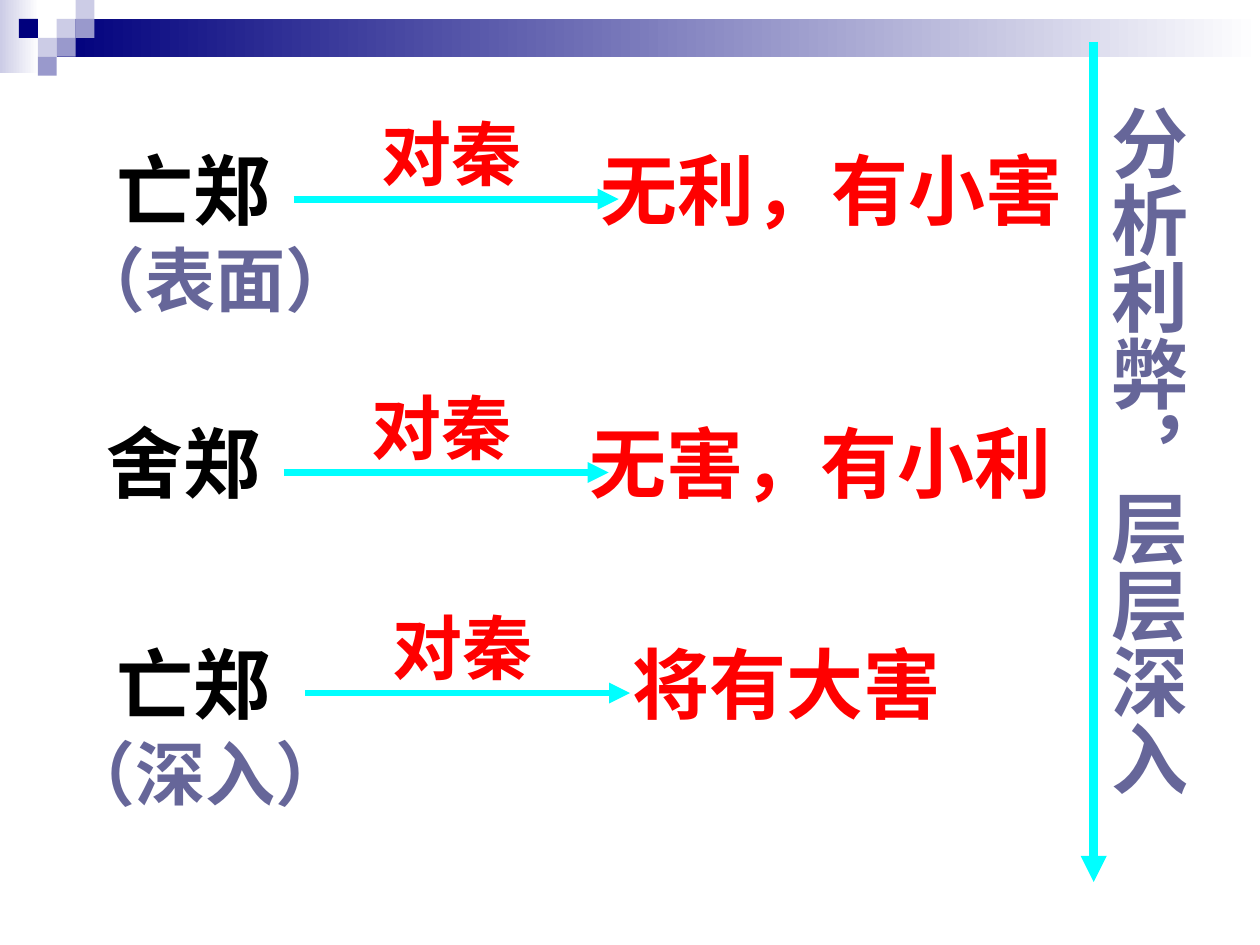
from lxml import etree
from pptx import Presentation
from pptx.dml import color
from pptx.enum import shapes, text
from pptx.oxml import ns
from pptx.util import Inches, Pt

NAVY, LILAC, PERIWINKLE, WHITE = "00007D", "CCCCE6", "9999CC", "FFFFFF"
BLACK, RED, SLATE, CYAN = "000000", "FF0000", "666699", "00FFFF"
SERIF, SANS = "Times New Roman", "Noto Sans CJK SC"


def rgb(value):
    """Turn a hex string into a colour."""
    return color.RGBColor.from_string(value)


def add_tile(slide, left, top, width, height, *colours):
    """Place a borderless rectangle, shaded left to right if given two colours."""
    tile = slide.shapes.add_shape(
        shapes.MSO_SHAPE.RECTANGLE, Inches(left), Inches(top), Inches(width), Inches(height))
    tile.shadow.inherit = False
    tile.line.fill.background()
    if len(colours) == 1:
        tile.fill.solid()
        tile.fill.fore_color.rgb = rgb(colours[0])
        return
    tile.fill.gradient()
    tile.fill.gradient_angle = 0
    for stop, colour in zip(tile.fill.gradient_stops, colours):
        stop.color.rgb = rgb(colour)


def add_words(slide, left, top, width, height, words, size, colour, font=SERIF):
    """Place one bold line of text and return its frame."""
    frame = slide.shapes.add_textbox(
        Inches(left), Inches(top), Inches(width), Inches(height)).text_frame
    frame.word_wrap = True
    line = frame.paragraphs[0]
    line.text = words
    line.font.name = font
    line.font.size = Pt(size)
    line.font.bold = True
    line.font.color.rgb = rgb(colour)
    return frame


def add_arrow(slide, x1, y1, x2, y2, weight):
    """Draw a cyan arrow between two points."""
    arrow = slide.shapes.add_connector(
        shapes.MSO_CONNECTOR.STRAIGHT, Inches(x1), Inches(y1), Inches(x2), Inches(y2))
    arrow.line.color.rgb = rgb(CYAN)
    arrow.line.width = Pt(weight)
    etree.SubElement(arrow.line._get_or_add_ln(), ns.qn("a:tailEnd"), type="triangle")
    etree.SubElement(arrow._element.spPr, ns.qn("a:effectLst"))


def add_banner(slide, left, top, width):
    """Draw the shaded bar and its corner of small squares."""
    side = 0.15
    add_tile(slide, left, top, 0.31, 0.58, LILAC, WHITE)
    add_tile(slide, left + 3 * side, top + side, width - 3 * side, 2 * side, NAVY, WHITE)
    squares = [(3, 1, LILAC), (4, 0, LILAC), (4, 1, PERIWINKLE), (2, 2, LILAC),
               (1, 1, NAVY), (3, 2, PERIWINKLE), (2, 3, PERIWINKLE)]
    for column, row, colour in squares:
        add_tile(slide, left + column * side, top + row * side, side, side, colour)


def add_case(slide, left, top, choice, arrow_left, outcome_left, outcome_width, outcome):
    """Place a choice, the arrow towards Qin and the outcome in one row."""
    add_words(slide, left, top, 2.1, 0.84, choice, 44, BLACK)
    add_words(slide, outcome_left, top, outcome_width, 0.84, outcome, 44, RED)
    add_words(slide, arrow_left + 0.6, top - 0.25, 1.49, 0.77, "对秦", 40, RED)
    add_arrow(slide, arrow_left, top + 0.5, arrow_left + 2.58, top + 0.5, 4)


def add_summary(slide, left, top, height):
    """Place the long downward arrow with the vertical conclusion beside it."""
    add_arrow(slide, left, top, left, top + height, 5)
    frame = add_words(slide, left - 0.09, top + 0.4, 0.93, 6.01, "分析利弊，层层深入", 44, SLATE)
    frame.margin_left = frame.margin_right = Inches(0.05)
    frame.margin_top = frame.margin_bottom = Inches(0.1)
    frame.paragraphs[0].alignment = text.PP_ALIGN.CENTER
    frame._txBody.bodyPr.set("vert", "eaVert")


def main():
    """Build the slide and save it."""
    deck = Presentation()
    deck.slide_width, deck.slide_height = Inches(10), Inches(7.5)
    slide = deck.slides.add_slide(deck.slide_layouts[6])
    add_banner(slide, 0, 0, 10)
    add_case(slide, 0.83, 1.08, "亡郑", 2.33, 4.67, 4.25, "无利，有小害")
    add_case(slide, 0.75, 3.25, "舍郑", 2.25, 4.58, 3.92, "无害，有小利")
    add_case(slide, 0.83, 5, "亡郑", 2.42, 4.92, 2.83, "将有大害")
    add_summary(slide, 8.68, 0.33, 6.67)
    add_words(slide, 0.5, 1.83, 3.33, 0.77, "（表面）", 40, SLATE, SANS)
    add_words(slide, 0.42, 5.75, 3.58, 0.77, "（深入）", 40, SLATE, SANS)
    deck.save("out.pptx")


if __name__ == "__main__":
    main()
